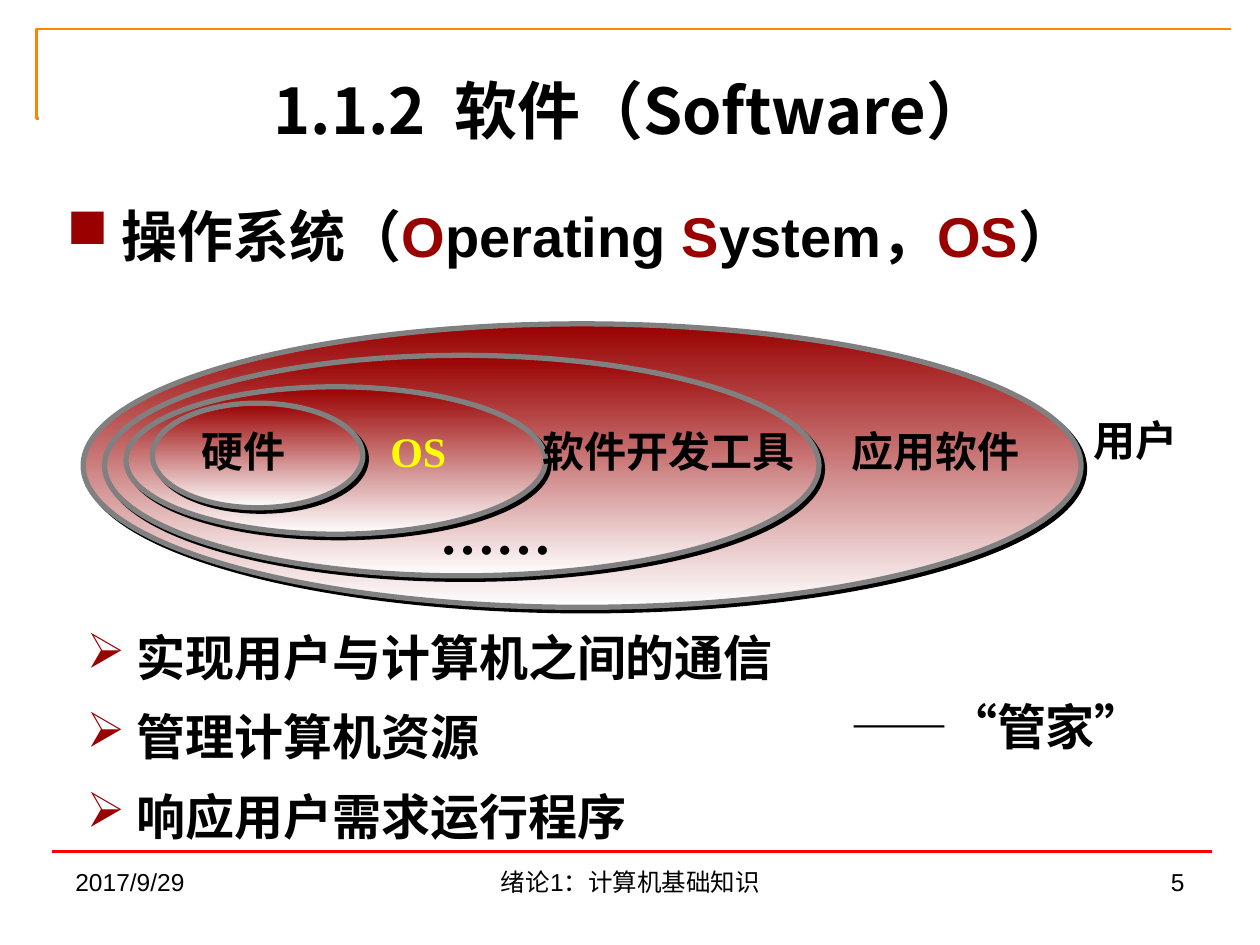
from lxml import etree
from pptx import Presentation
from pptx.dml.color import RGBColor
from pptx.enum.shapes import MSO_CONNECTOR, MSO_SHAPE
from pptx.enum.text import MSO_ANCHOR, PP_ALIGN
from pptx.oxml.ns import qn
from pptx.util import Inches, Pt

LEFT, CENTER, RIGHT = PP_ALIGN.LEFT, PP_ALIGN.CENTER, PP_ALIGN.RIGHT
MIDDLE = MSO_ANCHOR.MIDDLE
ELLIPSE, STRAIGHT = MSO_SHAPE.OVAL, MSO_CONNECTOR.STRAIGHT
CJK, SANS, SERIF = "Noto Sans CJK JP", "Arial", "Times New Roman"
BLACK, MAROON, YELLOW, GRAY = "000000", "990000", "FFFF00", "808080"

TITLE = "1.1.2  软件（Software）"
HEADING = [(" 操作系统（", BLACK), ("O", MAROON), ("perating ", BLACK),
           ("S", MAROON), ("ystem，", BLACK), ("OS", MAROON), ("）", BLACK)]
LAYERS = [(0.66, 2.57, 7.92, 2.25), (0.83, 2.82, 5.67, 1.75),
          (1, 3.07, 3.33, 1.17), (1.21, 3.2, 1.67, 0.83)]
LABELS = [("硬件", 1.5, 3.33, 1.25, 24, BLACK),
          ("OS", 3, 3.33, 1.17, 24, YELLOW),
          ("软件开发工具", 4.21, 3.33, 2.31, 24, BLACK),
          ("应用软件", 6.66, 3.33, 1.72, 24, BLACK),
          ("……", 3.39, 3.91, 1.58, 32, BLACK),
          ("用户", 8.58, 3.24, 1.46, 24, BLACK),
          ("——“管家”", 6.65, 5.48, 2.83, 28, BLACK)]
DUTIES = ["实现用户与计算机之间的通信", "管理计算机资源", "响应用户需求运行程序"]
FOOTERS = [("2017/9/29", 0.5, 2.33, LEFT),
           ("绪论1：计算机基础知识", 3.42, 3.17, CENTER),
           ("5", 7.17, 2.33, RIGHT)]
FRAME = [(0.31, 0.94), (0.29, 0.94), (0.29, 0.23), (9.77, 0.23)]


def rgb(value):
    return RGBColor.from_string(value)


def place(shape, x, y, w, h):
    shape.left, shape.top, shape.width, shape.height = map(Inches, (x, y, w, h))


def write(tf, runs, size, font, bold=True, align=LEFT, bullet=None):
    tf.word_wrap = True
    p = tf.paragraphs[0]
    p.alignment = align
    p.font.size, p.font.name, p.font.bold = Pt(size), font, bold
    for text, color in runs:
        r = p.add_run()
        r.text = text
        r.font.color.rgb = rgb(color)
        etree.SubElement(r._r.get_or_add_rPr(), qn("a:ea"), typeface=CJK)
    if bullet:
        pPr = p._p.get_or_add_pPr()
        bu_color = etree.Element(qn("a:buClr"))
        etree.SubElement(bu_color, qn("a:srgbClr"), val=MAROON)
        bu_char = etree.Element(qn("a:buChar"), char=bullet)
        pPr.insert(0, bu_color)
        pPr.insert(1, bu_char)


def add_text(s, box, runs, size, font, **kwargs):
    tb = s.shapes.add_textbox(*map(Inches, box))
    write(tb.text_frame, runs, size, font, **kwargs)


def add_layer(s, box):
    sp = s.shapes.add_shape(ELLIPSE, *map(Inches, box))
    sp.fill.gradient()
    sp.fill.gradient_angle = 270
    for stop, color, position in zip(sp.fill.gradient_stops, (MAROON, "FFFFFF"), (0, 1)):
        stop.color.rgb = rgb(color)
        stop.position = position
    sp.line.color.rgb = rgb(GRAY)
    sp.line.width = Pt(3)
    sp.shadow.inherit = False
    effects = sp._element.spPr.find(qn("a:effectLst"))
    shadow = etree.SubElement(effects, qn("a:outerShdw"), dist=str(Pt(2.8)),
                              dir="2700000", algn="ctr", rotWithShape="0")
    etree.SubElement(shadow, qn("a:srgbClr"), val=BLACK)


def main():
    prs = Presentation()
    prs.slide_width, prs.slide_height = Inches(10), Inches(7.5)
    s = prs.slides.add_slide(prs.slide_layouts[5])

    title = s.shapes.title
    place(title, 0.51, 0.36, 9, 1.02)
    title.text_frame.vertical_anchor = MIDDLE
    write(title.text_frame, [(TITLE, BLACK)], 36, CJK, align=CENTER)

    points = [(Inches(x), Inches(y)) for x, y in FRAME]
    builder = s.shapes.build_freeform(*points[0])
    builder.add_line_segments(points[1:], close=False)
    frame = builder.convert_to_shape()
    frame.fill.background()
    frame.shadow.inherit = False
    rule = s.shapes.add_connector(STRAIGHT, *map(Inches, (0.41, 6.76, 9.62, 6.76)))
    etree.SubElement(rule._element.spPr, qn("a:effectLst"))
    for line, color in ((frame.line, "FC8604"), (rule.line, "FF0000")):
        line.color.rgb = rgb(color)
        line.width = Pt(1.5)

    add_text(s, (0.43, 1.55, 8.98, 0.63), HEADING, 32, SANS, bullet="■")
    for box in LAYERS:
        add_layer(s, box)
    for text, x, y, w, size, color in LABELS:
        add_text(s, (x, y, w, size / 50), [(text, color)], size, SERIF)
    for i, text in enumerate(DUTIES):
        add_text(s, (0.59, 4.93 + 0.63 * i, 8.4, 0.57), [(" " + text, BLACK)],
                 28, SERIF, bullet="➢")
    for text, x, w, align in FOOTERS:
        add_text(s, (x, 6.83, w, 0.52), [(text, BLACK)], 14, SANS,
                 bold=False, align=align)

    prs.save("out.pptx")


if __name__ == "__main__":
    main()
